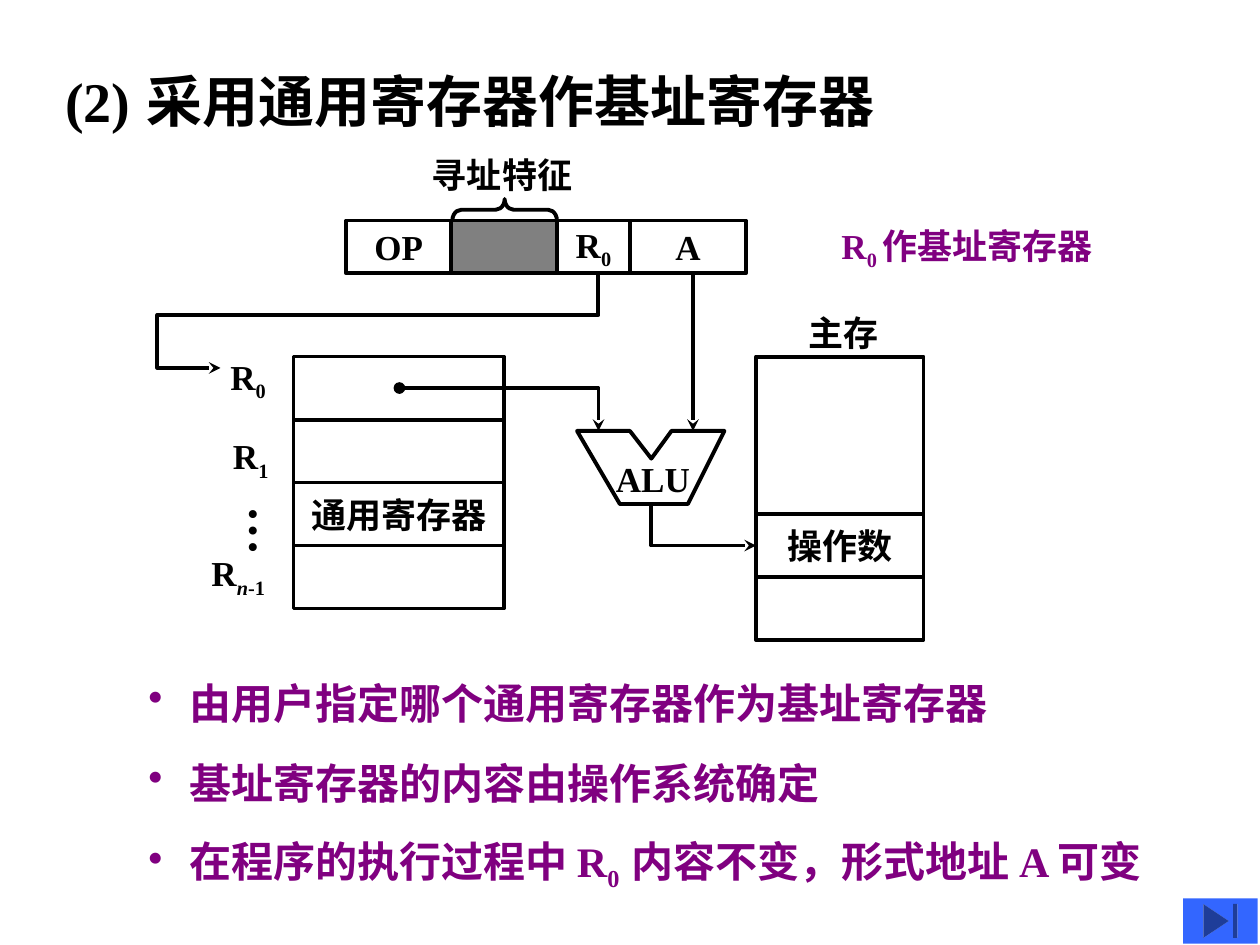
from pptx import Presentation
from pptx.util import Inches, Pt
from pptx.dml.color import RGBColor as RGB
from pptx.enum.shapes import MSO_SHAPE as Shape, MSO_CONNECTOR as Link
from pptx.enum.text import PP_ALIGN as Align, MSO_ANCHOR as Anchor, MSO_AUTO_SIZE as Auto
from pptx.oxml.ns import qn
from lxml.etree import SubElement as Sub

INK = {"black": "000000", "purple": "800080", "gray": "808080", "blue": "3366FF"}

deck = Presentation()
deck.slide_width, deck.slide_height = Inches(10), Inches(7.5)
slide = deck.slides.add_slide(deck.slide_layouts[6])
shapes = slide.shapes


def write(frame, runs, size=20, ink="black", dot=False):
    para = frame.paragraphs[0]
    if dot:
        props = para._p.get_or_add_pPr()
        props.set("marL", str(Inches(0.25)))
        props.set("indent", str(-Inches(0.25)))
        Sub(props, qn("a:buChar")).set("char", "•")
    font = para.font
    font.name, font.size, font.bold = "Times New Roman", Pt(size), True
    font.color.rgb = RGB.from_string(INK[ink])
    for text, style in runs:
        run = para.add_run()
        run.text = text
        if "sub" in style:
            run.font._element.set("baseline", "-25000")
        if "italic" in style:
            run.font.italic = True
        if "large" in style:
            run.font.size = Pt(36)
    return para


def trace(shape, head=None, tail=None):
    shape.line.color.rgb = RGB.from_string(INK["black"])
    shape.line.width = Pt(2.25)
    edge = shape.line._get_or_add_ln()
    for tag, kind in (("a:headEnd", head), ("a:tailEnd", tail)):
        if kind:
            Sub(edge, qn(tag)).set("type", kind)


cells = [
    (6, 2.83, 1.33, 1.25, []),
    (6, 4.08, 1.33, 0.5, [("操作数", "")]),
    (6, 4.58, 1.33, 0.5, []),
    (2.75, 1.75, 0.83, 0.42, [("OP", "")]),
    (3.58, 1.75, 0.84, 0.42, None),
    (4.42, 1.75, 0.58, 0.42, [("R", ""), ("0", "sub")]),
    (5, 1.75, 0.92, 0.42, [("A", "")]),
    (2.33, 2.83, 1.67, 1, []),
    (2.33, 3.83, 1.67, 0.5, [("通用寄存器", "")]),
    (2.33, 4.33, 1.67, 0.5, []),
]
for *place, runs in cells:
    cell = shapes.add_shape(Shape.RECTANGLE, *map(Inches, place))
    cell.shadow.inherit = False
    cell.fill.background()
    trace(cell)
    if runs is None:
        cell.fill.solid()
        cell.fill.fore_color.rgb = RGB.from_string(INK["gray"])
    elif runs:
        frame = cell.text_frame
        frame.word_wrap = False
        frame.vertical_anchor = Anchor.MIDDLE
        write(frame, runs).alignment = Align.CENTER

brace = shapes.add_shape(Shape.LEFT_BRACE, Inches(3.92), Inches(1.25), Inches(0.17), Inches(0.83))
brace.rotation = 90
brace.adjustments[0] = 0.417
brace.shadow.inherit = False
brace.fill.background()
trace(brace)

routes = [
    ([(4.58, 3.42), (5, 3.42), (5.17, 3.64), (5.33, 3.42), (5.75, 3.42),
      (5.46, 4), (4.92, 4)], True, None, None),
    ([(4.75, 2.17), (4.75, 2.5), (1.25, 2.5), (1.25, 2.92), (1.75, 2.92)], False, None, "stealth"),
    ([(3.17, 3.08), (4.75, 3.08), (4.75, 3.42)], False, "oval", "stealth"),
    ([(5.17, 4), (5.17, 4.33), (6, 4.33)], False, None, "stealth"),
]
for points, close, head, tail in routes:
    first, *rest = [(Inches(x), Inches(y)) for x, y in points]
    pen = shapes.build_freeform(*first)
    pen.add_line_segments(rest, close=close)
    route = pen.convert_to_shape()
    route.shadow.inherit = False
    route.fill.background()
    trace(route, head, tail)

for ends, tail in [((5.5, 2.17, 5.5, 3.42), "stealth"), ((2.33, 3.33, 4, 3.33), None)]:
    line = shapes.add_connector(Link.STRAIGHT, *map(Inches, ends))
    trace(line, tail=tail)
    Sub(line._element.spPr, qn("a:effectLst"))

labels = [
    (0.42, 0.42, 6.64, 0.7, [("(2)", ""), (" ", "large"), ("采用通用寄存器作基址寄存器", "")], 32, "black", True),
    (6.32, 2.42, 0.76, 0.43, [("主存", "")], 20, "black", False),
    (3.33, 1.17, 1.32, 0.43, [("寻址特征", "")], 20, "black", False),
    (4.79, 3.58, 0.79, 0.43, [("ALU", "")], 20, "black", False),
    (6.58, 1.73, 2.24, 0.43, [("R", ""), ("0 ", "sub"), ("作基址寄存器", "")], 20, "purple", True),
    (1.73, 2.77, 0.49, 0.43, [("R", ""), ("0", "sub")], 20, "black", False),
    (1.75, 3.4, 0.49, 0.43, [("R", ""), ("1", "sub")], 20, "black", False),
    (1.58, 4.33, 0.65, 0.43, [("R", ""), ("n", "sub italic"), ("-1", "sub")], 20, "black", False),
    (1.75, 3.92, 0.67, 0.58, [("…", "")], 28, "black", True),
    (1.08, 5.33, 7.83, 0.5, [(" 由用户指定哪个通用寄存器作为基址寄存器", "")], 24, "purple", True),
    (1.08, 5.96, 6.33, 0.5, [(" 基址寄存器的内容由操作系统确定", "")], 24, "purple", True),
    (1.08, 6.58, 8.33, 0.5, [(" 在程序的执行过程中 R", ""), ("0  ", "sub"),
                             ("内容不变，形式地址 A 可变", "")], 24, "purple", True),
]
for *place, runs, size, ink, wrap in labels:
    frame = shapes.add_textbox(*map(Inches, place)).text_frame
    frame.word_wrap = wrap
    frame.auto_size = Auto.SHAPE_TO_FIT_TEXT
    write(frame, runs, size, ink, dot=size == 24)
    if size == 28:
        frame._txBody.bodyPr.set("vert", "eaVert")

button = shapes.add_shape(Shape.ACTION_BUTTON_END, Inches(9.39), Inches(7.13), Inches(0.59), Inches(0.36))
button.shadow.inherit = False
button.fill.solid()
button.fill.fore_color.rgb = RGB.from_string(INK["blue"])
button.line.fill.background()

deck.save("out.pptx")
